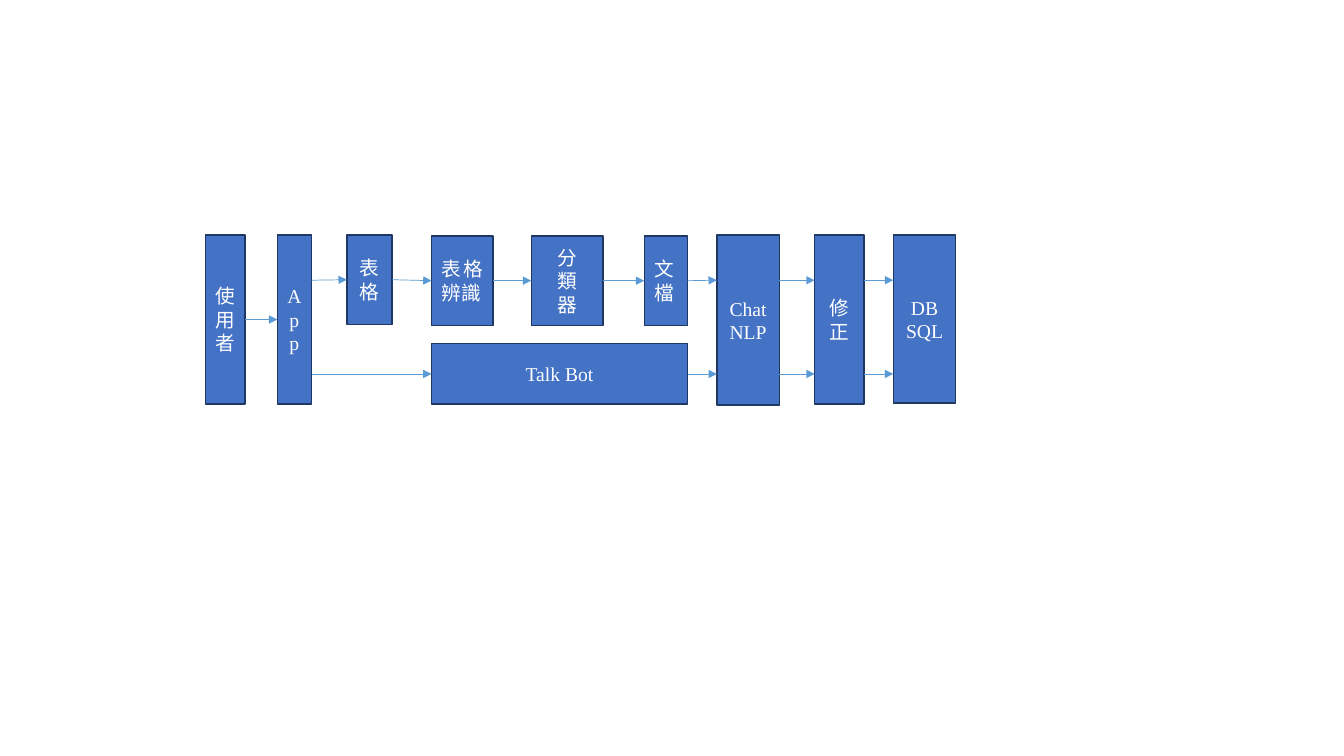
from lxml.etree import SubElement
from pptx import Presentation
from pptx.dml.color import RGBColor
from pptx.enum.shapes import MSO_CONNECTOR, MSO_SHAPE
from pptx.enum.text import MSO_ANCHOR, PP_ALIGN
from pptx.oxml.ns import qn
from pptx.util import Inches, Pt

COLORS = {"box": "4472C4", "border": "1F3763", "arrow": "5B9BD5",
          "text": "FFFFFF"}
CJK, LATIN = "Noto Sans CJK SC", "Times New Roman"
CENTER, JUSTIFY = PP_ALIGN.CENTER, PP_ALIGN.JUSTIFY
LEFT_SIDE, RIGHT_SIDE = 1, 3
UPPER, MIDDLE, LOWER = 2.78, 3.17, 3.71


class FlowSlide:
    """Holds the style and the current slide."""

    def __init__(self, prs):
        self.s = prs.slides.add_slide(prs.slide_layouts[6])
        self.frame = {"word_wrap": True, "vertical_anchor": MSO_ANCHOR.MIDDLE}
        self.font = {"size": Pt(14)}

    def color(self, name):
        return RGBColor.from_string(COLORS[name])

    def line(self, shape, name, width):
        shape.line.color.rgb = self.color(name)
        shape.line.width = Pt(width)

    def box(self, left, top, width, height, text, font, align=CENTER):
        sp = self.s.shapes.add_shape(
            MSO_SHAPE.RECTANGLE, *map(Inches, (left, top, width, height)))
        sp.shadow.inherit = False
        sp.fill.solid()
        sp.fill.fore_color.rgb = self.color("box")
        self.line(sp, "border", 1)
        tf = sp.text_frame
        for key, value in self.frame.items():
            setattr(tf, key, value)
        tf.text = text
        for p in tf.paragraphs:
            p.alignment = align
            for r in p.runs:
                for key, value in {**self.font, "name": font}.items():
                    setattr(r.font, key, value)
                r.font.color.rgb = self.color("text")
                SubElement(r.font._element, qn("a:ea"), typeface=font)
        return sp

    def arrow(self, start, end, y):
        y = Inches(y)
        c = self.s.shapes.add_connector(
            MSO_CONNECTOR.STRAIGHT, start.left + start.width, y, end.left, y)
        # Join only where the arrow meets the middle of a side
        for sp, join, side in ((start, c.begin_connect, RIGHT_SIDE),
                               (end, c.end_connect, LEFT_SIDE)):
            if abs(sp.top + sp.height / 2 - y) < Inches(0.02):
                join(sp, side)
        self.line(c, "arrow", 0.5)
        SubElement(c.line._get_or_add_ln(), qn("a:tailEnd"), type="triangle")
        SubElement(c._element.spPr, qn("a:effectLst"))


def main():
    prs = Presentation()
    prs.slide_width, prs.slide_height = Inches(13.33), Inches(7.5)
    flow = FlowSlide(prs)

    # Full-height stages
    user = flow.box(2.04, 2.33, 0.39, 1.68, "使\n用\n者", CJK)
    app = flow.box(2.75, 2.33, 0.34, 1.68, "App", LATIN)
    chat = flow.box(7.11, 2.33, 0.62, 1.69, "Chat NLP", LATIN)
    fix = flow.box(8.08, 2.33, 0.49, 1.68, "修\n正", CJK)
    database = flow.box(8.86, 2.33, 0.62, 1.67, "DB\nSQL", LATIN)

    # Upper branch: form recognition
    form = flow.box(3.44, 2.33, 0.45, 0.89, "表格", CJK)
    reader = flow.box(4.28, 2.34, 0.61, 0.89, "表格辨識", CJK, JUSTIFY)
    sorter = flow.box(5.27, 2.34, 0.71, 0.89, "分\n類\n器", CJK)
    document = flow.box(6.39, 2.34, 0.43, 0.89, "文\n檔", CJK, JUSTIFY)

    # Lower branch: bot
    bot = flow.box(4.28, 3.41, 2.54, 0.6, "Talk Bot", LATIN)

    # Arrows between neighbouring stages
    routes = {
        MIDDLE: [user, app],
        UPPER: [app, form, reader, sorter, document, chat, fix, database],
        LOWER: [app, bot, chat, fix, database],
    }
    for y, stages in routes.items():
        for start, end in zip(stages, stages[1:]):
            flow.arrow(start, end, y)

    prs.save("out.pptx")


if __name__ == "__main__":
    main()
